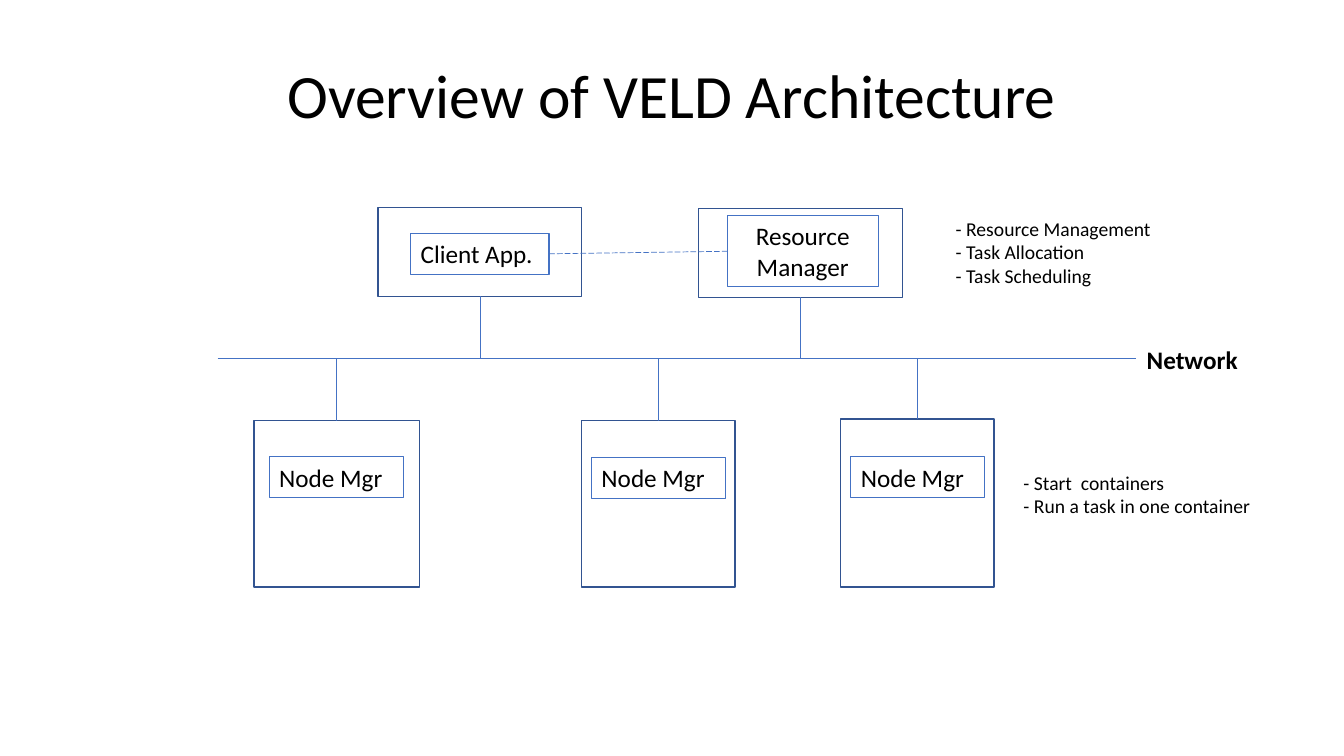
from dataclasses import dataclass

from pptx import Presentation
from pptx.dml.color import RGBColor
from pptx.enum.dml import MSO_LINE_DASH_STYLE as Dash
from pptx.enum.shapes import MSO_CONNECTOR as Connector, MSO_SHAPE as Preset
from pptx.enum.text import MSO_ANCHOR as Anchor, MSO_AUTO_SIZE as AutoSize, PP_ALIGN as Align
from pptx.oxml import parse_xml
from pptx.oxml.ns import nsdecls
from pptx.util import Pt

FONT = "Calibri"
BLACK, WHITE, BLUE, NAVY = "000000", "FFFFFF", "4472C4", "325491"
NETWORK_Y, NETWORK_LEFT, NETWORK_RIGHT = 256.3, 155.5, 811.4
TOP, BOTTOM = 0, 2


@dataclass
class Frame:
    left: float
    top: float
    width: float
    height: float

    def points(self) -> list:
        return [Pt(v) for v in (self.left, self.top, self.width, self.height)]


@dataclass
class Machine:
    frame: Frame
    label: str
    label_frame: Frame
    network_side: int
    align: Align = Align.LEFT
    label_fill: str = ""


@dataclass
class Note:
    lines: list[str]
    frame: Frame
    size: float = 14
    bold: bool = False


MACHINES = [
    Machine(Frame(270, 148.4, 145.6, 63.4), "Client App.",
            Frame(293.4, 166.8, 98.8, 29), BOTTOM),
    Machine(Frame(499, 149, 145.6, 63.4), "Resource Manager",
            Frame(519.4, 154, 108, 51), BOTTOM, Align.CENTER),
    Machine(Frame(181.4, 300.4, 118.2, 118.8), "Node Mgr",
            Frame(192.4, 326.4, 95.8, 29), TOP, label_fill=WHITE),
    Machine(Frame(415.6, 300.4, 109.6, 118.8), "Node Mgr",
            Frame(422.6, 327, 95.8, 29), TOP),
    Machine(Frame(600.6, 299.4, 109.6, 120), "Node Mgr",
            Frame(607.8, 326.4, 95.8, 29), TOP),
]
NOTES = [
    Note(["Network"], Frame(812, 242.4, 89.4, 29), 18, True),
    Note(["- Resource Management", "- Task Allocation", "- Task Scheduling"],
         Frame(675.6, 151.2, 160, 58.4)),
    Note(["- Start  containers", "- Run a task in one container"],
         Frame(724, 332.6, 180, 41)),
]


def colour(value: str) -> RGBColor:
    return RGBColor.from_string(value)


def write(shape, lines: list[str], *, size: float, bold: bool = False,
          align: Align = Align.LEFT, spacing: float = 1.0,
          anchor: Anchor = Anchor.TOP, fit: AutoSize = AutoSize.SHAPE_TO_FIT_TEXT) -> None:
    text = shape.text_frame
    text.word_wrap, text.auto_size, text.vertical_anchor = True, fit, anchor
    for index, line in enumerate(lines):
        para = text.add_paragraph() if index else text.paragraphs[0]
        para.alignment, para.line_spacing = align, spacing
        span = para.add_run()
        span.text = line
        span.font.name, span.font.size, span.font.bold = FONT, Pt(size), bold
        span.font.color.rgb = colour(BLACK)


def add_box(page, frame: Frame, line: str, width: float, fill: str = ""):
    box = page.shapes.add_shape(Preset.RECTANGLE, *frame.points())
    box.shadow.inherit = False
    if fill:
        box.fill.solid()
        box.fill.fore_color.rgb = colour(fill)
    else:
        box.fill.background()
    box.line.color.rgb, box.line.width = colour(line), Pt(width)
    return box


def add_line(page, start: tuple[float, float], end: tuple[float, float]):
    line = page.shapes.add_connector(Connector.STRAIGHT, *[Pt(v) for v in start + end])
    line.line.color.rgb, line.line.width = colour(BLUE), Pt(0.5)
    line._element.spPr.append(parse_xml(f"<a:effectLst {nsdecls('a')}/>"))
    return line


def add_machine(page, machine: Machine):
    """Draw a machine, its link to the network and its label; return the label."""
    frame = machine.frame
    box = add_box(page, frame, NAVY, 1)
    centre = frame.left + frame.width / 2
    edge = frame.top if machine.network_side == TOP else frame.top + frame.height
    link = add_line(page, (centre, edge), (centre, NETWORK_Y))
    link.begin_connect(box, machine.network_side)
    label = add_box(page, machine.label_frame, BLUE, 0.75, machine.label_fill)
    write(label, [machine.label], size=18, align=machine.align)
    return label


def main() -> None:
    deck = Presentation()
    deck.slide_width, deck.slide_height = Pt(960), Pt(540)
    page = deck.slides.add_slide(deck.slide_layouts[5])

    # Title
    title = page.shapes.title
    title.left, title.top, title.width, title.height = Frame(66, 28.8, 828, 83.5).points()
    write(title, ["Overview of VELD Architecture"], size=44, align=Align.CENTER,
          spacing=0.9, anchor=Anchor.MIDDLE, fit=AutoSize.NONE)

    # Network and the machines on it
    add_line(page, (NETWORK_LEFT, NETWORK_Y), (NETWORK_RIGHT, NETWORK_Y))
    client, manager, *_ = [add_machine(page, machine) for machine in MACHINES]

    # Dashed request from client to manager
    request = add_line(page, (392.2, 181.3), (519.4, 179.5))
    request.begin_connect(client, 3)
    request.end_connect(manager, 1)
    request.line.dash_style = Dash.LONG_DASH

    # Notes
    for note in NOTES:
        box = page.shapes.add_textbox(*note.frame.points())
        write(box, note.lines, size=note.size, bold=note.bold)

    deck.save("out.pptx")


if __name__ == "__main__":
    main()
